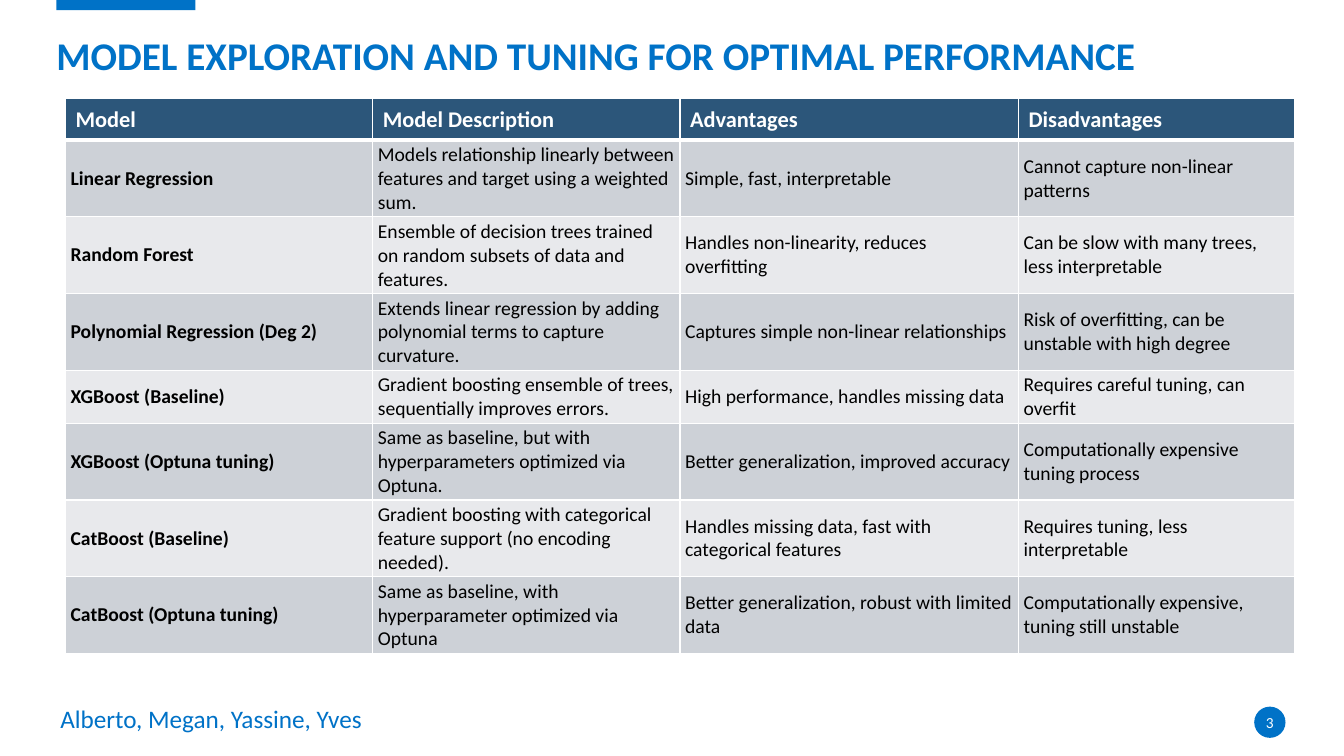
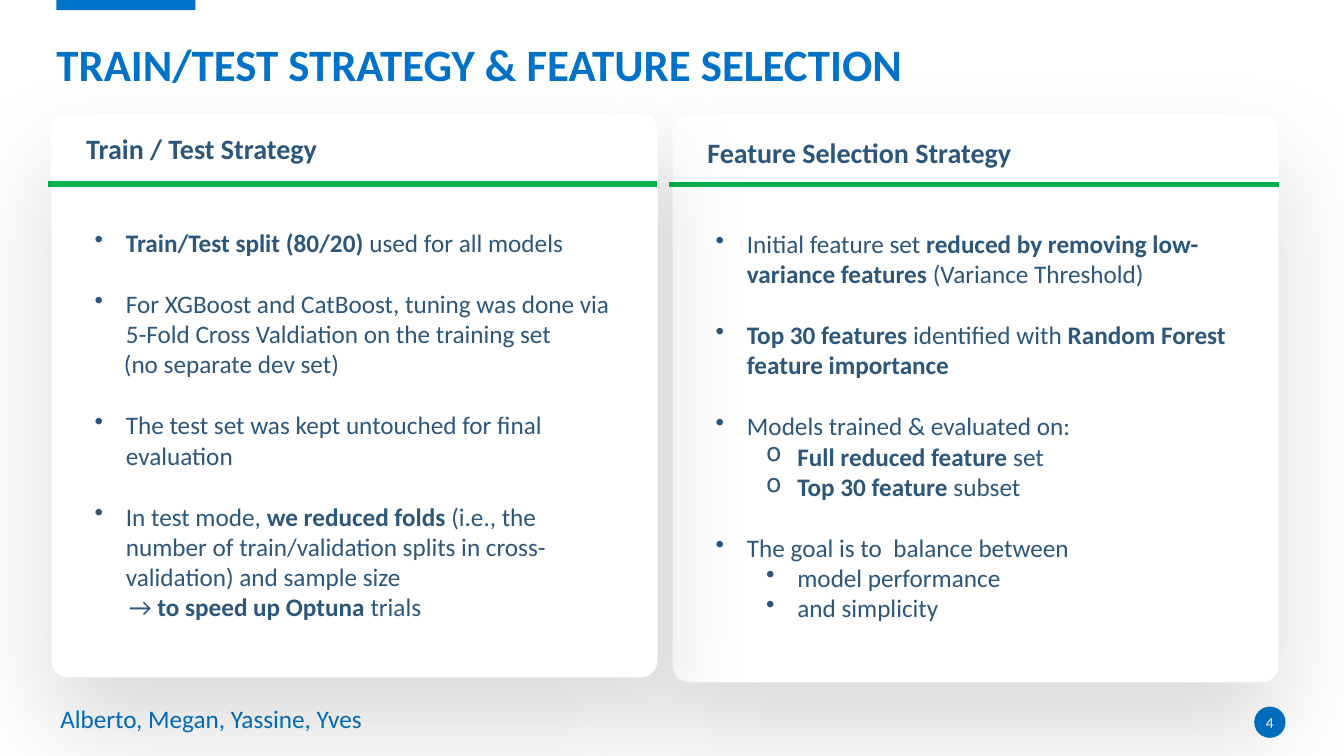
from dataclasses import dataclass

from lxml.etree import SubElement
from pptx import Presentation
from pptx.dml.color import RGBColor
from pptx.enum.shapes import MSO_CONNECTOR as Connector, MSO_SHAPE as Shape
from pptx.enum.text import MSO_ANCHOR as Anchor, MSO_AUTO_SIZE as AutoSize, PP_ALIGN as Align
from pptx.oxml.ns import qn
from pptx.util import Inches, Pt


@dataclass(frozen=True)
class Theme:
    """Colours, font and type sizes of the deck."""
    font: str = "Calibri"
    accent: str = "0072C7"
    ink: str = "2C567A"
    black: str = "000000"
    white: str = "FFFFFF"
    rule: str = "00B050"
    bands: tuple = ("CDD1D7", "E8E9EC")
    heading: int = 20
    body: int = 18
    header: int = 16
    cell: int = 14
    number: int = 11
    topic_gap: int = 22


@dataclass(frozen=True)
class Box:
    """A rectangle in inches that is divided by percentages."""
    left: float
    top: float
    width: float
    height: float

    def inner(self, left, top, width, height):
        """Return the inner box at the given percentages."""
        return Box(self.left + self.width * left / 100, self.top + self.height * top / 100,
                   self.width * width / 100, self.height * height / 100)

    def place(self):
        """Return the box as lengths for a shape."""
        return tuple(Inches(n) for n in (self.left, self.top, self.width, self.height))


THEME = Theme()
PAGE = Box(0, 0, 13.33, 7.5)
BULLETS = {
    "topic": (0.31, -0.31, "•"),
    "circle": (0.81, -0.31, "o"),
    "point": (0.81, -0.31, "•"),
    "aside": (0.29, 0, None),
    "arrow": (0.34, 0, None),
}

COLUMN_SHARES = (25, 25, 27.54, 22.46)
MODELS = (
    ("Model", "Model Description", "Advantages", "Disadvantages"),
    ("Linear Regression",
     "Models relationship linearly between features and target using a weighted sum.",
     "Simple, fast, interpretable", "Cannot capture non-linear patterns"),
    ("Random Forest",
     "Ensemble of decision trees trained on random subsets of data and features.",
     "Handles non-linearity, reduces overfitting",
     "Can be slow with many trees, less interpretable"),
    ("Polynomial Regression (Deg 2)",
     "Extends linear regression by adding polynomial terms to capture curvature.",
     "Captures simple non-linear relationships",
     "Risk of overfitting, can be unstable with high degree"),
    ("XGBoost (Baseline)",
     "Gradient boosting ensemble of trees, sequentially improves errors.",
     "High performance, handles missing data", "Requires careful tuning, can overfit"),
    ("XGBoost (Optuna tuning)",
     "Same as baseline, but with hyperparameters optimized via Optuna.",
     "Better generalization, improved accuracy", "Computationally expensive tuning process"),
    ("CatBoost (Baseline)",
     "Gradient boosting with categorical feature support (no encoding needed).",
     "Handles missing data, fast with categorical features",
     "Requires tuning, less interpretable"),
    ("CatBoost (Optuna tuning)",
     "Same as baseline, with hyperparameter optimized via Optuna",
     "Better generalization, robust with limited data",
     "Computationally expensive, tuning still unstable"),
)

TRAINING = (
    ("topic", "**Train/Test split (80/20) **used for all models"),
    ("topic", "For XGBoost and CatBoost, tuning was done via 5-Fold Cross Valdiation "
              "on the training set"),
    ("aside", "(no separate dev set)"),
    ("topic", "The test set was kept untouched for final evaluation"),
    ("topic", "In test mode, **we reduced folds **(i.e., the number of train/validation "
              "splits in cross-validation) and sample size"),
    ("arrow", "→ **to speed up Optuna **trials"),
)
FEATURES = (
    ("topic", "Initial feature set **reduced by removing low-variance features** "
              "(Variance Threshold)"),
    ("topic", "**Top 30 features **identified with **Random Forest feature importance**"),
    ("topic", "Models trained & evaluated on:"),
    ("circle", "**Full reduced feature **set"),
    ("circle", "**Top 30 feature** subset"),
    ("topic", "The goal is to  balance between"),
    ("point", "model performance"),
    ("point", "and simplicity"),
)


def write(paragraph, text, size, color, bold=False):
    """Add text run by run, switching weight at each double asterisk."""
    for index, piece in enumerate(text.split("**")):
        if piece:
            run = paragraph.add_run()
            run.text = piece
            run.font.name = THEME.font
            run.font.size = Pt(size)
            run.font.bold = bold or index % 2 == 1
            run.font.color.rgb = RGBColor.from_string(color)


def add_frame(slide, box):
    """Add a wrapping text box and return its text frame."""
    frame = slide.shapes.add_textbox(*box.place()).text_frame
    frame.word_wrap = True
    frame.auto_size = AutoSize.SHAPE_TO_FIT_TEXT
    return frame


def add_solid(slide, preset, box, color):
    """Add a plain filled shape without outline or shadow."""
    solid = slide.shapes.add_shape(preset, *box.place())
    solid.shadow.inherit = False
    solid.fill.solid()
    solid.fill.fore_color.rgb = RGBColor.from_string(color)
    solid.line.fill.background()
    return solid


def clear_insets(frame):
    """Remove the inner margins of a text frame."""
    frame.margin_left = frame.margin_right = frame.margin_top = frame.margin_bottom = 0


def start_slide(deck, title, size, title_height, number):
    """Add a slide with the shared tab, title, footer and page number."""
    slide = deck.slides.add_slide(deck.slide_layouts[5])
    add_solid(slide, Shape.RECTANGLE, PAGE.inner(4.2, 0, 10.35, 1.33), THEME.accent)
    footer = add_frame(slide, PAGE.inner(3.75, 92.4, 59.4, 5.33))
    write(footer.paragraphs[0], "Alberto, Megan, Yassine, Yves", THEME.body, THEME.accent)

    badge = add_solid(slide, Shape.OVAL, PAGE.inner(93.32, 93.47, 2.33, 4.13), THEME.accent)
    clear_insets(badge.text_frame)
    badge.text_frame.word_wrap = False
    badge.text_frame.vertical_anchor = Anchor.MIDDLE
    badge.text_frame.paragraphs[0].alignment = Align.CENTER
    write(badge.text_frame.paragraphs[0], str(number), THEME.number, THEME.white)

    heading = slide.shapes.title
    heading.left, heading.top, heading.width, heading.height = PAGE.inner(
        4.2, 3.6, 91.45, title_height).place()
    frame = heading.text_frame
    clear_insets(frame)
    frame.vertical_anchor = Anchor.BOTTOM
    frame.auto_size = AutoSize.NONE
    frame.paragraphs[0].alignment = Align.LEFT
    frame.paragraphs[0].line_spacing = 0.9
    write(frame.paragraphs[0], title, size, THEME.accent, True)
    return slide


def style_cell(cell, row, fill):
    """Give a cell its white borders, its fill and its insets."""
    properties = cell._tc.get_or_add_tcPr()
    thick_side = {0: "lnB", 1: "lnT"}.get(row)
    for side in ("lnL", "lnR", "lnT", "lnB"):
        border = SubElement(properties, qn(f"a:{side}"), w=str(Pt(3 if side == thick_side else 1)))
        SubElement(SubElement(border, qn("a:solidFill")), qn("a:srgbClr"), val=THEME.white)
    cell.fill.solid()
    cell.fill.fore_color.rgb = RGBColor.from_string(fill)
    cell.vertical_anchor = Anchor.MIDDLE
    if row:
        cell.margin_left = cell.margin_right = Inches(0.05)
        cell.margin_top = cell.margin_bottom = Inches(0.03)


def add_model_table(slide, box):
    """Fill the box with the banded comparison of models."""
    table = slide.shapes.add_table(len(MODELS), len(COLUMN_SHARES), *box.place()).table
    for column, share in zip(table.columns, COLUMN_SHARES):
        column.width = Inches(box.width * share / 100)
    for row, entries in enumerate(MODELS):
        header = row == 0
        fill = THEME.ink if header else THEME.bands[(row - 1) % 2]
        size = THEME.header if header else THEME.cell
        color = THEME.white if header else THEME.black
        for column, entry in enumerate(entries):
            cell = table.cell(row, column)
            style_cell(cell, row, fill)
            write(cell.text_frame.paragraphs[0], entry, size, color, header or column == 0)


def add_bullets(slide, box, items):
    """Write topics, set apart by spacing, with their sub-points."""
    frame = add_frame(slide, box)
    for index, (kind, text) in enumerate(items):
        paragraph = frame.add_paragraph() if index else frame.paragraphs[0]
        margin, indent, bullet = BULLETS[kind]
        paragraph.space_before = Pt(THEME.topic_gap if index and kind == "topic" else 0)
        properties = paragraph._p.get_or_add_pPr()
        properties.set("marL", str(Inches(margin)))
        properties.set("indent", str(Inches(indent)))
        if bullet:
            SubElement(properties, qn("a:buChar"), char=bullet)
        write(paragraph, text, THEME.body, THEME.ink)


def add_card(slide, box, heading, heading_top, items):
    """Draw a shadowed card with a heading, a rule and bullets."""
    card = add_solid(slide, Shape.ROUNDED_RECTANGLE, box, THEME.white)
    card.adjustments[0] = 0.03
    effects = card._element.spPr.find(qn("a:effectLst"))
    shadow = SubElement(effects, qn("a:outerShdw"), blurRad=str(Pt(75)), dist=str(Pt(35)),
                        dir="5400000", algn="t", rotWithShape="0")
    tint = SubElement(shadow, qn("a:srgbClr"), val=THEME.black)
    SubElement(tint, qn("a:alpha"), val="15000")

    add_bullets(slide, box.inner(5.49, 19.2, 90, 71.6), items)
    left, top, width, _ = box.inner(-0.5, 12.45, 100.5, 0).place()
    rule = slide.shapes.add_connector(Connector.STRAIGHT, left, top, left + width, top)
    rule.line.color.rgb = RGBColor.from_string(THEME.rule)
    rule.line.width = Pt(4)
    SubElement(rule._element.spPr, qn("a:effectLst"))
    label = add_frame(slide, box.inner(4.1, heading_top, 55.4, 7.8))
    write(label.paragraphs[0], heading, THEME.heading, THEME.ink, True)


def build_models(deck):
    """Build the slide that compares the models."""
    slide = start_slide(deck, "MODEL EXPLORATION AND TUNING FOR OPTIMAL PERFORMANCE", 28, 6.8, 3)
    add_model_table(slide, PAGE.inner(4.88, 13.07, 91.45, 43.73))


def build_strategy(deck):
    """Build the slide with the two strategy cards."""
    slide = start_slide(deck, "TRAIN/TEST STRATEGY & FEATURE SELECTION", 32, 8.53, 4)
    add_card(slide, PAGE.inner(50.04, 15.07, 45.09, 75.2),
             "Feature Selection Strategy", 2.84, FEATURES)
    add_card(slide, PAGE.inner(3.83, 15.07, 45.09, 74.53),
             "Train / Test Strategy", 2.15, TRAINING)


def main():
    """Build and save the deck."""
    deck = Presentation()
    deck.slide_width, deck.slide_height = Inches(PAGE.width), Inches(PAGE.height)
    build_models(deck)
    build_strategy(deck)
    deck.save("out.pptx")


if __name__ == "__main__":
    main()
